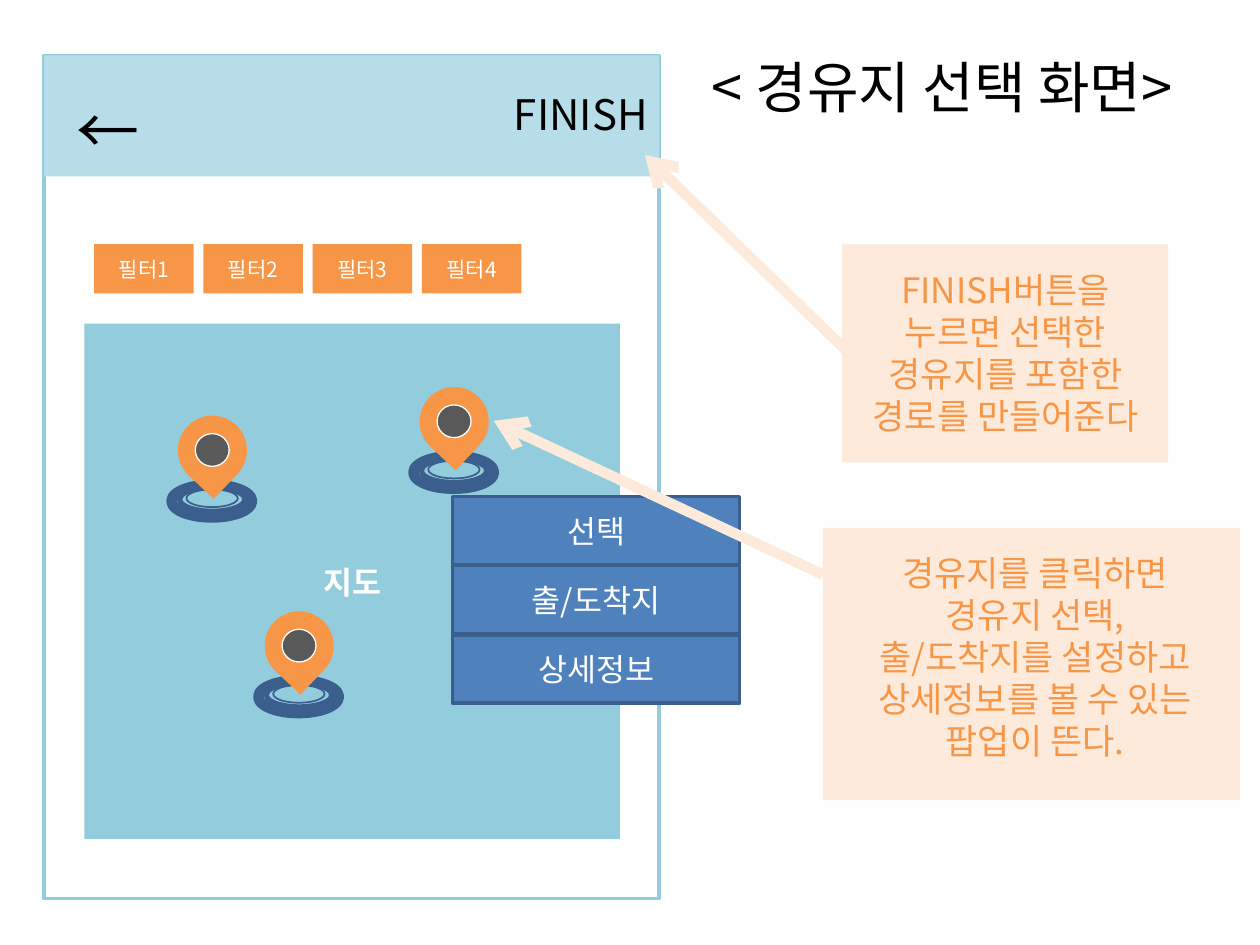
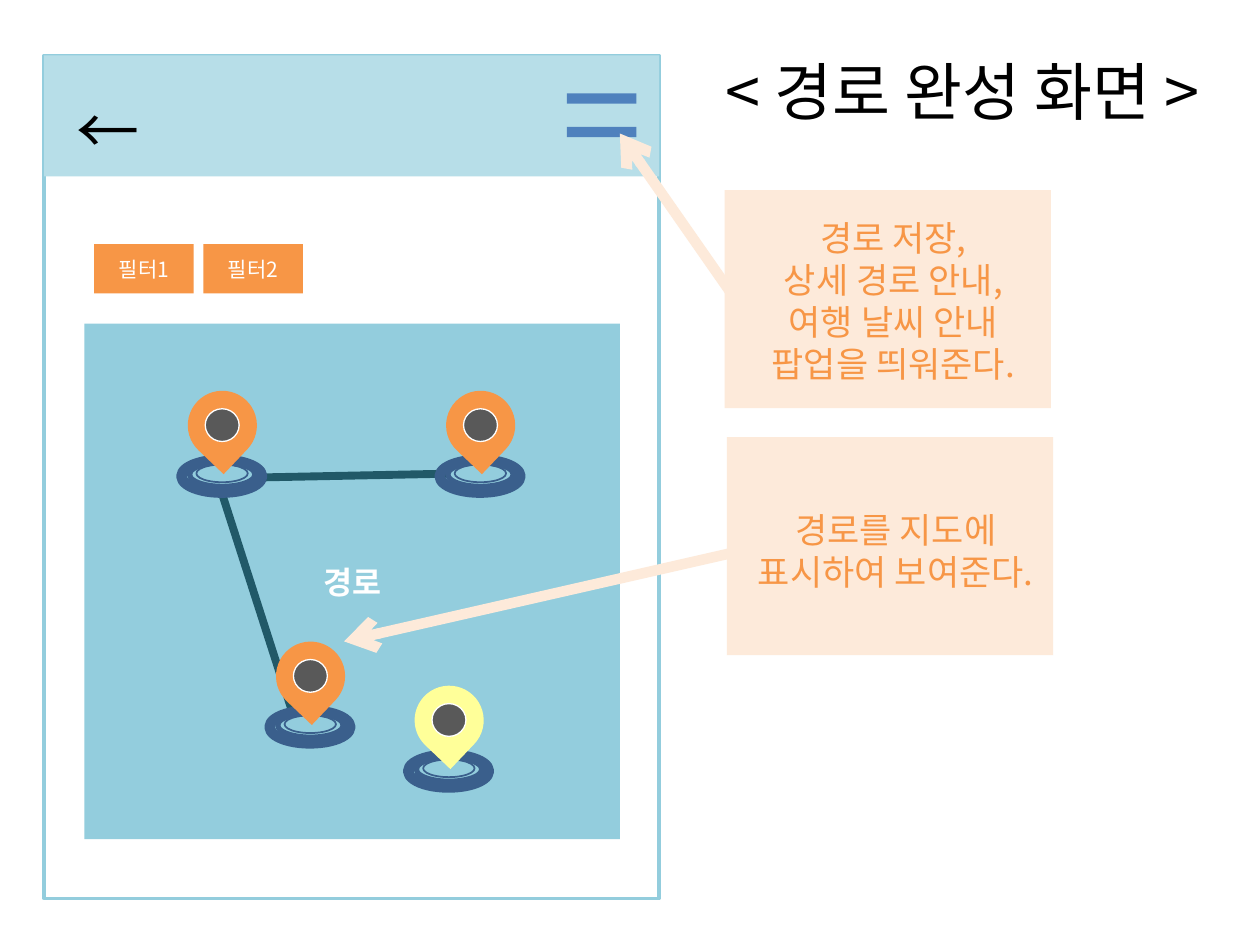
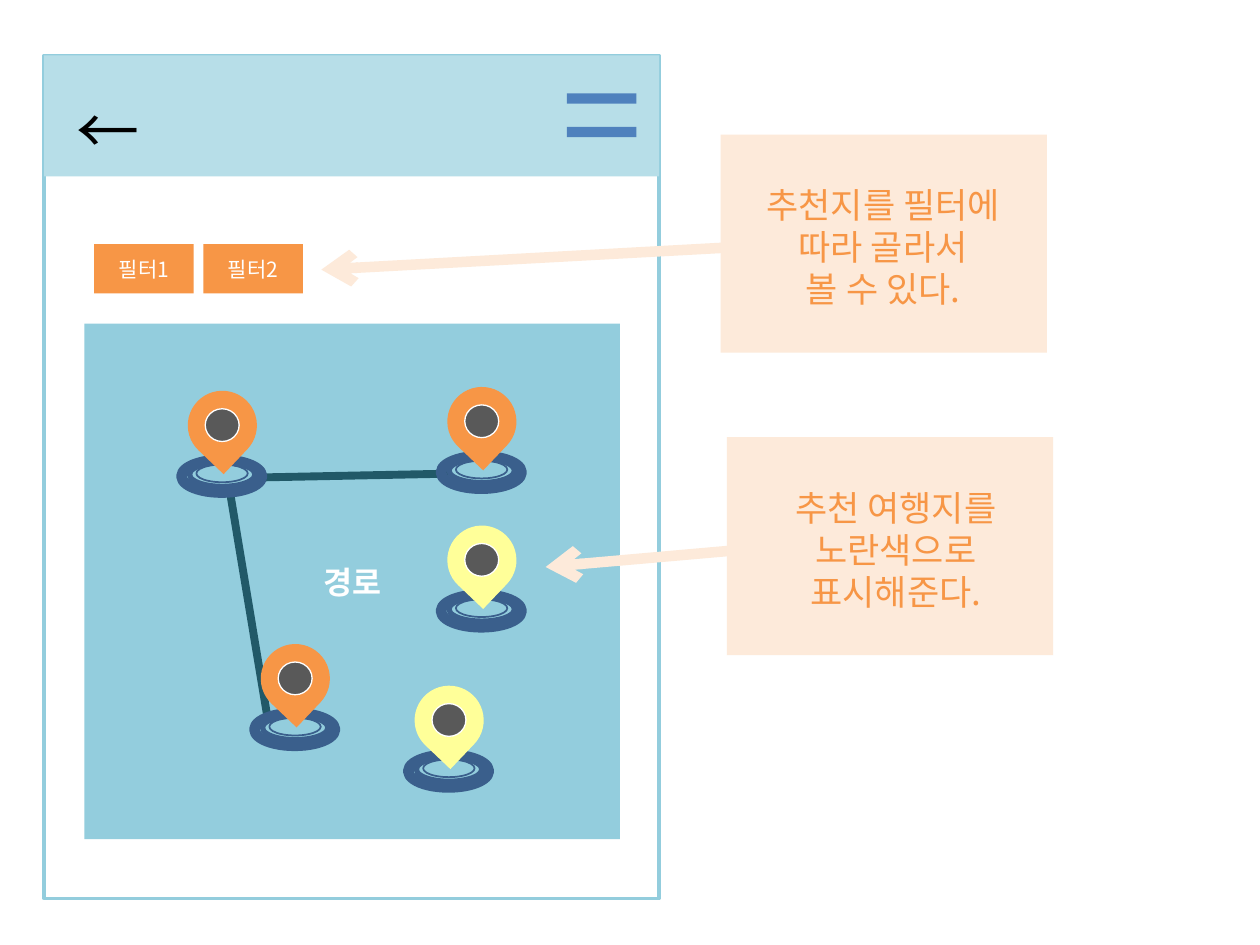
import pptx
import pptx.util
import pptx.dml.color
import pptx.enum.shapes
import pptx.enum.text
import pptx.oxml.ns
from lxml import etree

Pt = pptx.util.Pt
RGB = pptx.dml.color.RGBColor
KIND = pptx.enum.shapes.MSO_SHAPE
ALIGN = pptx.enum.text.PP_ALIGN
ANCHOR = pptx.enum.text.MSO_ANCHOR
qn = pptx.oxml.ns.qn

FONT = "Noto Sans CJK KR"
WHITE = RGB(0xFF, 0xFF, 0xFF)
BLACK = RGB(0x00, 0x00, 0x00)
SKY = RGB(0x93, 0xCD, 0xDD)
PALE = RGB(0xB7, 0xDE, 0xE8)
ORANGE = RGB(0xF7, 0x96, 0x46)
YELLOW = RGB(0xFF, 0xFF, 0x99)
BLUE = RGB(0x4F, 0x81, 0xBD)
NAVY = RGB(0x3A, 0x5F, 0x8C)
TEAL = RGB(0x21, 0x59, 0x68)
PEACH = RGB(0xFD, 0xEA, 0xDA)
GREY = RGB(0x59, 0x59, 0x59)

# Pin: left, top and colour; note: box, text box, text, arrow tip, free arrow end
screens = [
    dict(title="< 경유지 선택 화면>", size=32, spot=(360, 26.6, 357, 46), map="지도",
         filters=4, path=[], menu=["선택", "출/도착지", "상세정보"],
         pins=[(98, 277, ORANGE), (236.2, 260.6, ORANGE), (147.6, 388.8, ORANGE)],
         notes=[((481, 139.7, 186.5, 124.6), (485.3, 149.8, 178.6, 104.4),
                 "FINISH버튼을\n누르면 선택한\n경유지를 포함한 경로를 만들어준다", (368.6, 88.6), None),
                ((470.2, 301.7, 238.3, 155.5), (474.5, 311.8, 234, 128.2),
                 "경유지를 클릭하면\n경유지 선택,\n출/도착지를 설정하고 상세정보를 볼 수 있는 팝업이 뜬다.",
                 (282.2, 240.5), (470.2, 328.3))]),
    dict(title="< 경로 완성 화면 >", size=36, spot=(371.5, 26.6, 357, 51), map="경로",
         filters=2, path=[(256.3, 270.7, 145.4, 272.9), (167, 406.8, 126.7, 281.5)], menu=[],
         pins=[(103.7, 262.8, ORANGE), (154.1, 406.1, ORANGE), (251.3, 262.8, ORANGE),
               (233.3, 431.3, YELLOW)],
         notes=[((414, 108.7, 186.5, 124.6), (421.2, 120.2, 178.6, 104.4),
                 "경로 저장,\n상세 경로 안내,\n여행 날씨 안내\n팝업을 띄워준다.", (354.2, 76.3), None),
                ((415.4, 249.8, 186.5, 124.6), (422.6, 287.3, 178.6, 55.4),
                 "경로를 지도에\n표시하여 보여준다.", (196.6, 366.5), None)]),
    dict(title=None, map="경로", filters=2,
         path=[(256.3, 270.7, 145.4, 272.9), (153.4, 413.3, 131, 278.6)], menu=[],
         pins=[(103.7, 262.8, ORANGE), (252, 339.8, YELLOW), (145.4, 407.5, ORANGE),
               (252, 260.6, ORANGE), (233.3, 431.3, YELLOW)],
         notes=[((411.8, 77, 186.5, 124.6), (415.4, 101.5, 178.6, 80),
                 "추천지를 필터에 따라 골라서\n볼 수 있다.", (183.6, 154.1), None),
                ((415.4, 249.8, 186.5, 124.6), (422.6, 274.3, 178.6, 80),
                 "추천 여행지를\n노란색으로\n표시해준다.", (311.8, 324), None)]),
]


def draw(shapes, kind, box, fill=None, line=None, width=1):
    shape = shapes.add_shape(kind, *[Pt(v) for v in box])
    shape.shadow.inherit = False
    if fill is None:
        shape.fill.background()
    else:
        shape.fill.solid()
        shape.fill.fore_color.rgb = fill
    if line is None:
        shape.line.fill.background()
    else:
        shape.line.color.rgb = line
        shape.line.width = Pt(width)
    return shape


def write(shape, text, size, color, align=ALIGN.CENTER, anchor=ANCHOR.MIDDLE, bold=False):
    frame = shape.text_frame
    frame.text = text
    frame.word_wrap = True
    frame.vertical_anchor = anchor
    for par in frame.paragraphs:
        par.alignment = align
        par.font.size = Pt(size)
        par.font.bold = bold
        par.font.color.rgb = color
        par.font.name = FONT
        props = par._p.find(".//" + qn("a:defRPr"))
        etree.SubElement(props, qn("a:ea"), typeface=FONT)


deck = pptx.Presentation()
deck.slide_width, deck.slide_height = Pt(720), Pt(540)

for screen in screens:
    # Layout 5 has only a title, layout 6 is blank
    slide = deck.slides.add_slide(deck.slide_layouts[5 if screen["title"] else 6])
    shapes = slide.shapes
    if screen["title"]:
        title = shapes.title
        title.left, title.top, title.width, title.height = [Pt(v) for v in screen["spot"]]
        write(title, screen["title"], screen["size"], BLACK, anchor=ANCHOR.TOP)

    # Phone frame, top band and map
    draw(shapes, KIND.RECTANGLE, (25.2, 31.7, 351.4, 481.7), line=SKY, width=2)
    draw(shapes, KIND.RECTANGLE, (25.2, 31.7, 351.4, 69.1), PALE)
    area = draw(shapes, KIND.RECTANGLE, (48.2, 185, 306, 294.5), SKY)
    write(area, screen["map"], 18, WHITE, bold=True)
    back = shapes.add_textbox(Pt(36.7), Pt(49), Pt(57), Pt(51))
    write(back, "←", 36, BLACK, ALIGN.LEFT, ANCHOR.TOP)

    # Finish label or menu icon
    if screen["menu"]:
        finish = shapes.add_textbox(Pt(286.6), Pt(46.8), Pt(92), Pt(36))
        write(finish, "FINISH", 24, BLACK, ALIGN.LEFT, ANCHOR.TOP)
    else:
        icon = draw(shapes, KIND.MATH_EQUAL, (316.8, 43.2, 54, 45.4), BLUE)
        icon.adjustments[0], icon.adjustments[1] = 0.13, 0.29

    # Filter buttons
    for i in range(screen["filters"]):
        button = draw(shapes, KIND.RECTANGLE, (53.8 + 62.4 * i, 139.5, 56.9, 28.2), ORANGE)
        write(button, f"필터{i + 1}", 12, WHITE)

    # Route
    for leg in screen["path"]:
        line = shapes.add_connector(pptx.enum.shapes.MSO_CONNECTOR.STRAIGHT, *[Pt(v) for v in leg])
        line.line.color.rgb = TEAL
        line.line.width = Pt(4.5)
        etree.SubElement(line._element.spPr, qn("a:effectLst"))

    # Pins
    for x, y, color in screen["pins"]:
        pin = shapes.add_group_shape().shapes
        draw(pin, KIND.OVAL, (x, y, 46.1, 18.7), line=NAVY, width=6)
        draw(pin, KIND.OVAL, (x + 8.5, y + 2.7, 29.4, 10.1), line=NAVY, width=1)
        draw(pin, KIND.OVAL, (x + 4.6, y + 1.5, 37.4, 13.7), line=NAVY, width=3)
        drop = draw(pin, KIND.TEAR, (x + 3.6, y - 39.5, 39.5, 39.5), color)
        drop.rotation = 133.5
        draw(pin, KIND.OVAL, (x + 13.6, y - 29.2, 19.4, 18.7), GREY, WHITE, 0.75)

    # Popup menu
    for i, label in enumerate(screen["menu"]):
        item = draw(shapes, KIND.RECTANGLE, (258.5, 283.7 + 39.6 * i, 164.2, 38.9), BLUE, NAVY, 2)
        write(item, label, 18, WHITE)

    # Notes with arrows
    for box, inner, text, tip, end in screen["notes"]:
        draw(shapes, KIND.RECTANGLE, box, PEACH)
        note = shapes.add_textbox(*[Pt(v) for v in inner])
        write(note, text, 20, ORANGE, anchor=ANCHOR.TOP)
        arrow = shapes.add_connector(pptx.enum.shapes.MSO_CONNECTOR.STRAIGHT,
                                     *[Pt(v) for v in tip + (end or inner[:2])])
        if end is None:
            arrow.end_connect(note, 1)
        arrow.line.color.rgb = PEACH
        arrow.line.width = Pt(6)
        etree.SubElement(arrow.line._get_or_add_ln(), qn("a:headEnd"), type="arrow")
        etree.SubElement(arrow._element.spPr, qn("a:effectLst"))

deck.save("out.pptx")
